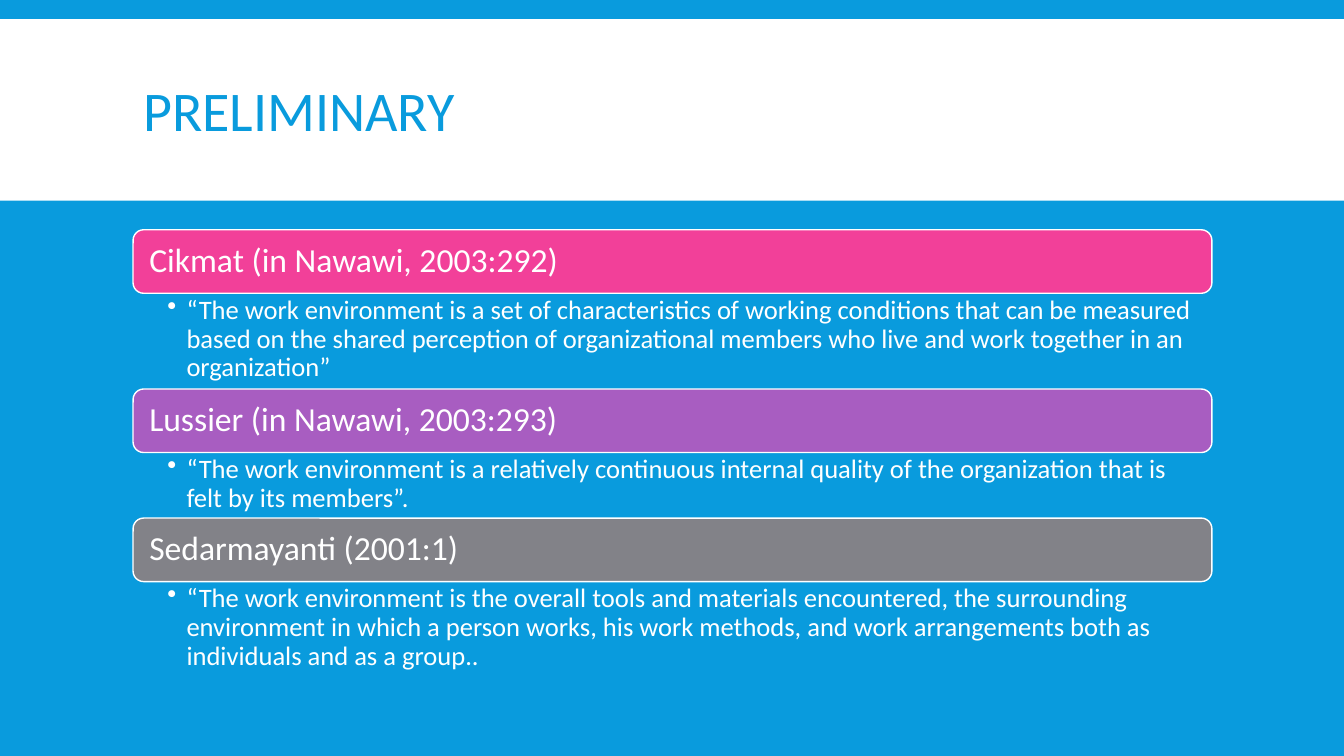
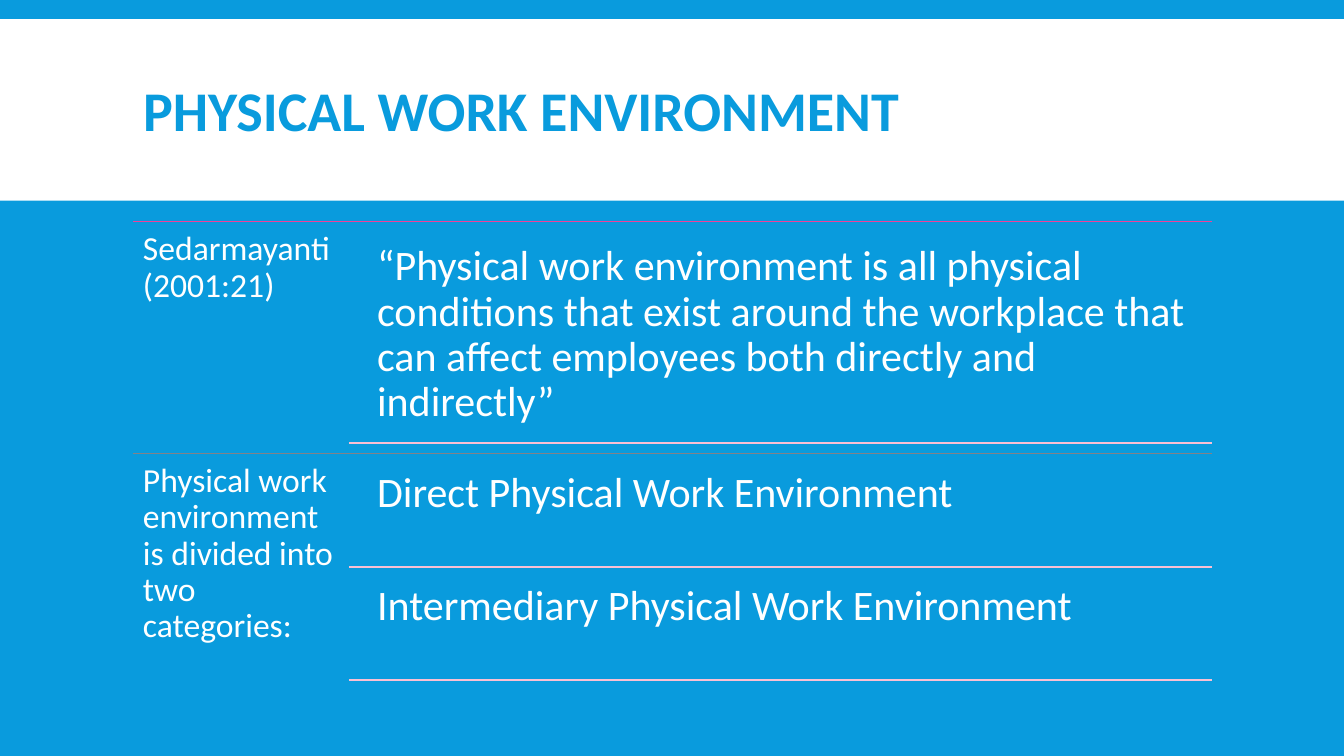
from dataclasses import dataclass

from lxml.etree import SubElement
from pptx import Presentation
from pptx.dml.color import RGBColor
from pptx.enum.shapes import MSO_CONNECTOR, MSO_SHAPE
from pptx.enum.text import MSO_ANCHOR, MSO_AUTO_SIZE, PP_ALIGN
from pptx.oxml.ns import qn
from pptx.util import Inches, Pt


@dataclass(frozen=True)
class Theme:
    font: str = "Calibri"
    blue: str = "099BDD"
    white: str = "FFFFFF"
    pink: str = "F24099"
    purple: str = "A85DC1"
    gray: str = "828288"
    pale_pink: str = "F9C0D4"
    title_size: int = 40
    entry_size: int = 30
    heading_size: int = 24
    quote_size: int = 19
    line_width: int = 1
    left: float = 1.32
    width: float = 10.7


class DeckBuilder:
    """Hold the theme and the current page, and draw each kind of element."""

    def __init__(self, theme):
        self.theme = theme
        self.deck = Presentation()
        self.deck.slide_width = Inches(13.33)
        self.deck.slide_height = Inches(7.5)
        self.layout = self.deck.slide_layouts[5]
        self.page = None
        fill = self.deck.slide_master.background.fill
        fill.solid()
        fill.fore_color.rgb = RGBColor.from_string(theme.blue)

    def add_page(self, title, bold=False):
        first = self.page is None
        self.page = self.deck.slides.add_slide(self.layout)
        if first:
            band = self.add_box(MSO_SHAPE.RECTANGLE, 0, 0.19, 13.33, 1.8, self.theme.white)
            self.layout.shapes._spTree.insert(2, band._element)
        box = self.page.shapes.title
        box.left, box.top = Inches(self.theme.left), Inches(0.31)
        box.width, box.height = Inches(self.theme.width), Inches(1.65)
        self.set_text(box, title, self.theme.title_size, color=self.theme.blue,
                      spacing=0.85, anchor=MSO_ANCHOR.MIDDLE, bold=bold)

    def add_box(self, kind, left, top, width, height, fill, outline=None):
        box = self.page.shapes.add_shape(
            kind, Inches(left), Inches(top), Inches(width), Inches(height))
        box.shadow.inherit = False
        box.fill.solid()
        box.fill.fore_color.rgb = RGBColor.from_string(fill)
        if outline:
            box.line.color.rgb = RGBColor.from_string(outline)
            box.line.width = Pt(self.theme.line_width)
        else:
            box.line.fill.background()
        return box

    def add_heading(self, text, top, height, fill):
        box = self.add_box(MSO_SHAPE.ROUNDED_RECTANGLE, self.theme.left, top,
                           self.theme.width, height, fill, self.theme.white)
        self.set_text(box, text, self.theme.heading_size,
                      insets=(0.13, 0.05, 0.13, 0.05), anchor=MSO_ANCHOR.MIDDLE)

    def add_text(self, text, left, top, width, height, size, insets, bullet=False):
        box = self.page.shapes.add_textbox(
            Inches(left), Inches(top), Inches(width), Inches(height))
        self.set_text(box, text, size, insets=insets, bullet=bullet)

    def add_rule(self, left, top, color):
        right = self.theme.left + self.theme.width
        rule = self.page.shapes.add_connector(
            MSO_CONNECTOR.STRAIGHT, Inches(left), Inches(top), Inches(right), Inches(top))
        rule.line.color.rgb = RGBColor.from_string(color)
        rule.line.width = Pt(self.theme.line_width)
        SubElement(rule._element.spPr, qn("a:effectLst"))

    def set_text(self, box, text, size, color=None, insets=(0.1, 0.05, 0.1, 0.05),
                 spacing=0.9, anchor=MSO_ANCHOR.TOP, bold=False, bullet=False):
        frame = box.text_frame
        frame.text = text
        frame.word_wrap = True
        frame.auto_size = MSO_AUTO_SIZE.NONE
        frame.vertical_anchor = anchor
        (frame.margin_left, frame.margin_top,
         frame.margin_right, frame.margin_bottom) = map(Inches, insets)
        para = frame.paragraphs[0]
        para.alignment = PP_ALIGN.LEFT
        para.line_spacing = spacing
        if bullet:
            properties = para._p.get_or_add_pPr()
            properties.set("marL", str(Inches(0.19)))
            properties.set("indent", str(-Inches(0.19)))
            SubElement(properties, qn("a:buChar")).set("char", "•")
        for span in para.runs:
            span.font.name = self.theme.font
            span.font.size = Pt(size)
            span.font.bold = bold
            span.font.color.rgb = RGBColor.from_string(color or self.theme.white)


def add_preliminary(builder):
    theme = builder.theme
    builder.add_page("PRELIMINARY")
    definitions = [
        ("Cikmat (in Nawawi, 2003:292)", theme.pink, 0.95,
         "“The work environment is a set of characteristics of working conditions that can be "
         "measured based on the shared perception of organizational members who live and work "
         "together in an organization”"),
        ("Lussier (in Nawawi, 2003:293)", theme.purple, 0.65,
         "“The work environment is a relatively continuous internal quality of the organization "
         "that is felt by its members”."),
        ("Sedarmayanti (2001:1)", theme.gray, 0.95,
         "“The work environment is the overall tools and materials encountered, the surrounding "
         "environment in which a person works, his work methods, and work arrangements both as "
         "individuals and as a group.."),
    ]
    top, heading_height = 2.28, 0.63
    for heading, fill, quote_height, quote in definitions:
        builder.add_heading(heading, top, heading_height, fill)
        top += heading_height
        builder.add_text(quote, theme.left, top, theme.width, quote_height,
                         theme.quote_size, (0.34, 0.03, 0.19, 0.03), bullet=True)
        top += quote_height


def add_physical_environment(builder):
    theme = builder.theme
    builder.add_page("PHYSICAL WORK ENVIRONMENT", bold=True)
    sections = [
        ("Sedarmayanti (2001:21)", theme.pink,
         ["“Physical work environment is all physical conditions that exist around the "
          "workplace that can affect employees both directly and indirectly”"]),
        ("Physical work environment is divided into two categories:", theme.gray,
         ["Direct Physical Work Environment", "Intermediary Physical Work Environment"]),
    ]
    section_height, label_width, indent = 2.3, 2.14, 0.16
    entry_left = theme.left + label_width
    for index, (label, color, entries) in enumerate(sections):
        top = 2.2 + index * section_height
        builder.add_rule(theme.left, top, color)
        builder.add_text(label, theme.left, top, label_width, section_height,
                         theme.heading_size, (0.1,) * 4)
        gap = section_height / (21 * len(entries) + 1)
        entry_height = 20 * gap
        for row, entry in enumerate(entries):
            entry_top = top + gap + row * (entry_height + gap)
            builder.add_text(entry, entry_left + indent, entry_top,
                             theme.width - label_width - indent, entry_height,
                             theme.entry_size, (0.12,) * 4)
            builder.add_rule(entry_left, entry_top + entry_height, theme.pale_pink)


def main():
    builder = DeckBuilder(Theme())
    add_preliminary(builder)
    add_physical_environment(builder)
    builder.deck.save("out.pptx")


if __name__ == "__main__":
    main()
